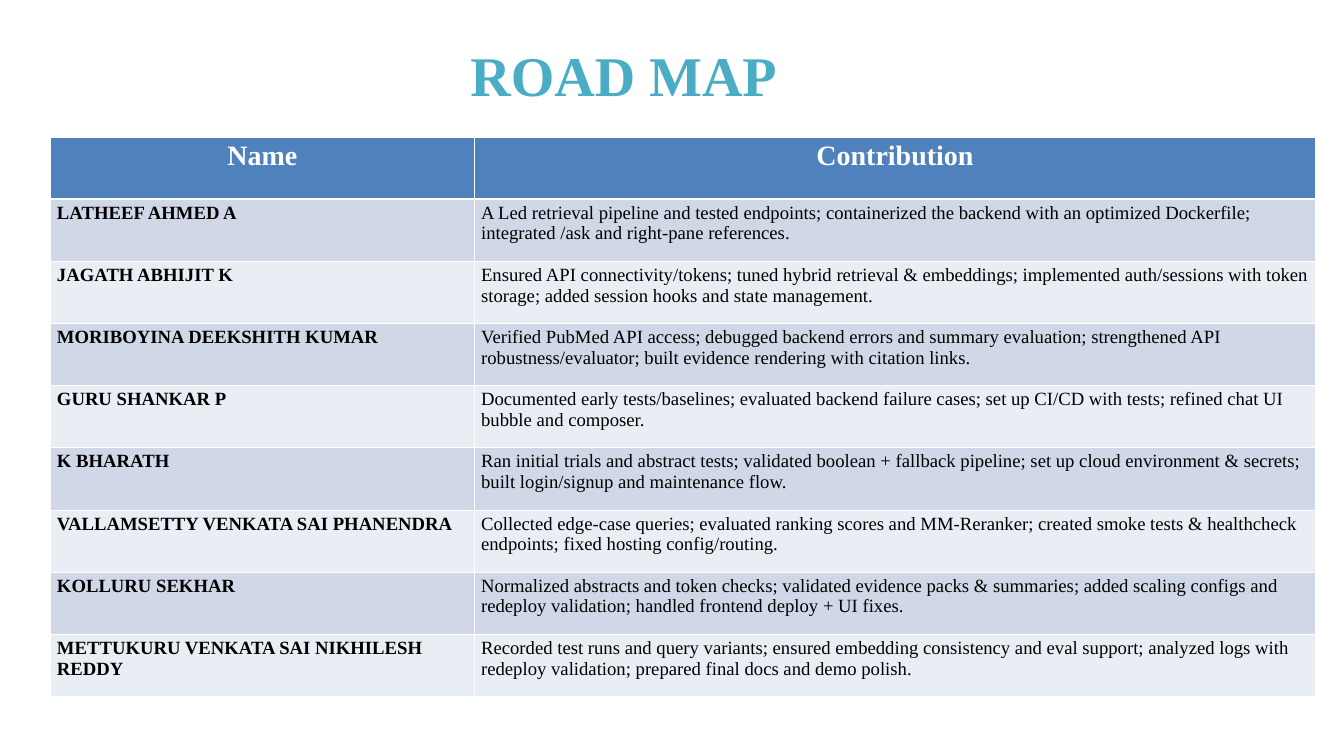
from typing import NamedTuple

from lxml import etree
from pptx import Presentation
from pptx.dml.color import RGBColor
from pptx.enum.text import MSO_ANCHOR, MSO_AUTO_SIZE, PP_ALIGN
from pptx.oxml.ns import qn
from pptx.util import Cm, Pt

LEFT, CENTER = PP_ALIGN.LEFT, PP_ALIGN.CENTER
TOP = MSO_ANCHOR.TOP
GROW = MSO_AUTO_SIZE.SHAPE_TO_FIT_TEXT

FONT = "Times New Roman"
TEAL, BLUE, WHITE, BLACK = "4BACC6", "4F81BD", "FFFFFF", "000000"
BANDS = ("D0D8E8", "E9EDF4")
ROW_HEIGHT = Cm(2.35)
COLUMN_WIDTHS = (Cm(16.03), Cm(31.8))
THIN, THICK = Pt(1), Pt(3)


class Member(NamedTuple):
    name: str
    contribution: str


class TextFormat(NamedTuple):
    size: int
    color: str
    bold: bool = True
    align: PP_ALIGN = LEFT


TITLE_FORMAT = TextFormat(60, TEAL)
HEADER_FORMAT = TextFormat(30, WHITE, align=CENTER)
NAME_FORMAT = TextFormat(20, BLACK)
CONTRIBUTION_FORMAT = TextFormat(20, BLACK, bold=False)

HEADER = ("Name", "Contribution")
TEAM = [
    Member("LATHEEF AHMED A",
           "A Led retrieval pipeline and tested endpoints; containerized the backend with an "
           "optimized Dockerfile; integrated /ask and right-pane references."),
    Member("JAGATH ABHIJIT K",
           "Ensured API connectivity/tokens; tuned hybrid retrieval & embeddings; implemented "
           "auth/sessions with token storage; added session hooks and state management."),
    Member("MORIBOYINA DEEKSHITH KUMAR",
           "Verified PubMed API access; debugged backend errors and summary evaluation; "
           "strengthened API robustness/evaluator; built evidence rendering with citation links."),
    Member("GURU SHANKAR P",
           "Documented early tests/baselines; evaluated backend failure cases; set up CI/CD "
           "with tests; refined chat UI bubble and composer."),
    Member("K BHARATH",
           "Ran initial trials and abstract tests; validated boolean + fallback pipeline; "
           "set up cloud environment & secrets; built login/signup and maintenance flow."),
    Member("VALLAMSETTY VENKATA SAI PHANENDRA",
           "Collected edge-case queries; evaluated ranking scores and MM-Reranker; created "
           "smoke tests & healthcheck endpoints; fixed hosting config/routing."),
    Member("KOLLURU SEKHAR",
           "Normalized abstracts and token checks; validated evidence packs & summaries; added "
           "scaling configs and redeploy validation; handled frontend deploy + UI fixes."),
    Member("METTUKURU VENKATA SAI NIKHILESH REDDY",
           "Recorded test runs and query variants; ensured embedding consistency and eval "
           "support; analyzed logs with redeploy validation; prepared final docs and demo polish."),
]


def rgb(value: str) -> RGBColor:
    return RGBColor.from_string(value)


def write(frame, text: str, style: TextFormat) -> None:
    frame.text = text
    paragraph = frame.paragraphs[0]
    paragraph.alignment = style.align
    font = paragraph.runs[0].font
    font_values = {"name": FONT, "size": Pt(style.size), "bold": style.bold}
    for attribute, value in font_values.items():
        setattr(font, attribute, value)
    font.color.rgb = rgb(style.color)


def add_borders(cell, top: int, bottom: int) -> None:
    """Draw white cell borders; border elements must precede the fill."""
    properties = cell._tc.get_or_add_tcPr()
    widths = {"a:lnL": THIN, "a:lnR": THIN, "a:lnT": top, "a:lnB": bottom}
    for position, (tag, width) in enumerate(widths.items()):
        line = etree.Element(qn(tag), w=str(int(width)))
        fill = etree.SubElement(line, qn("a:solidFill"))
        etree.SubElement(fill, qn("a:srgbClr"), val=WHITE)
        properties.insert(position, line)


def fill_row(table, row: int, texts: tuple, styles: tuple, color: str) -> None:
    top = THICK if row == 1 else THIN
    bottom = THICK if row == 0 else THIN
    for column, (text, style) in enumerate(zip(texts, styles)):
        cell = table.cell(row, column)
        cell.fill.solid()
        cell.fill.fore_color.rgb = rgb(color)
        add_borders(cell, top, bottom)
        write(cell.text_frame, text, style)


def add_title(slide) -> None:
    title = slide.shapes.title
    title.left, title.top, title.width, title.height = Cm(17.78), Cm(0.69), Cm(11.63), Cm(3.07)
    frame = title.text_frame
    frame_values = {"margin_left": 0, "margin_top": 0, "margin_right": 0, "margin_bottom": 0,
                    "vertical_anchor": TOP, "word_wrap": True, "auto_size": GROW}
    for attribute, value in frame_values.items():
        setattr(frame, attribute, value)
    write(frame, "ROAD MAP", TITLE_FORMAT)
    frame.paragraphs[0].line_spacing = Pt(96)


def add_contributions(slide) -> None:
    row_count = len(TEAM) + 1
    table = slide.shapes.add_table(row_count, len(HEADER), Cm(1.9), Cm(5.18),
                                   sum(COLUMN_WIDTHS), ROW_HEIGHT * row_count).table
    for column, width in zip(table.columns, COLUMN_WIDTHS):
        column.width = width
    for row in table.rows:
        row.height = ROW_HEIGHT

    fill_row(table, 0, HEADER, (HEADER_FORMAT, HEADER_FORMAT), BLUE)
    for index, member in enumerate(TEAM):
        fill_row(table, index + 1, member, (NAME_FORMAT, CONTRIBUTION_FORMAT),
                 BANDS[index % len(BANDS)])


def main() -> None:
    presentation = Presentation()
    presentation.slide_width, presentation.slide_height = Cm(50.8), Cm(28.58)
    title_only = presentation.slide_layouts[5]
    slide = presentation.slides.add_slide(title_only)
    add_title(slide)
    add_contributions(slide)
    presentation.save("out.pptx")


if __name__ == "__main__":
    main()
